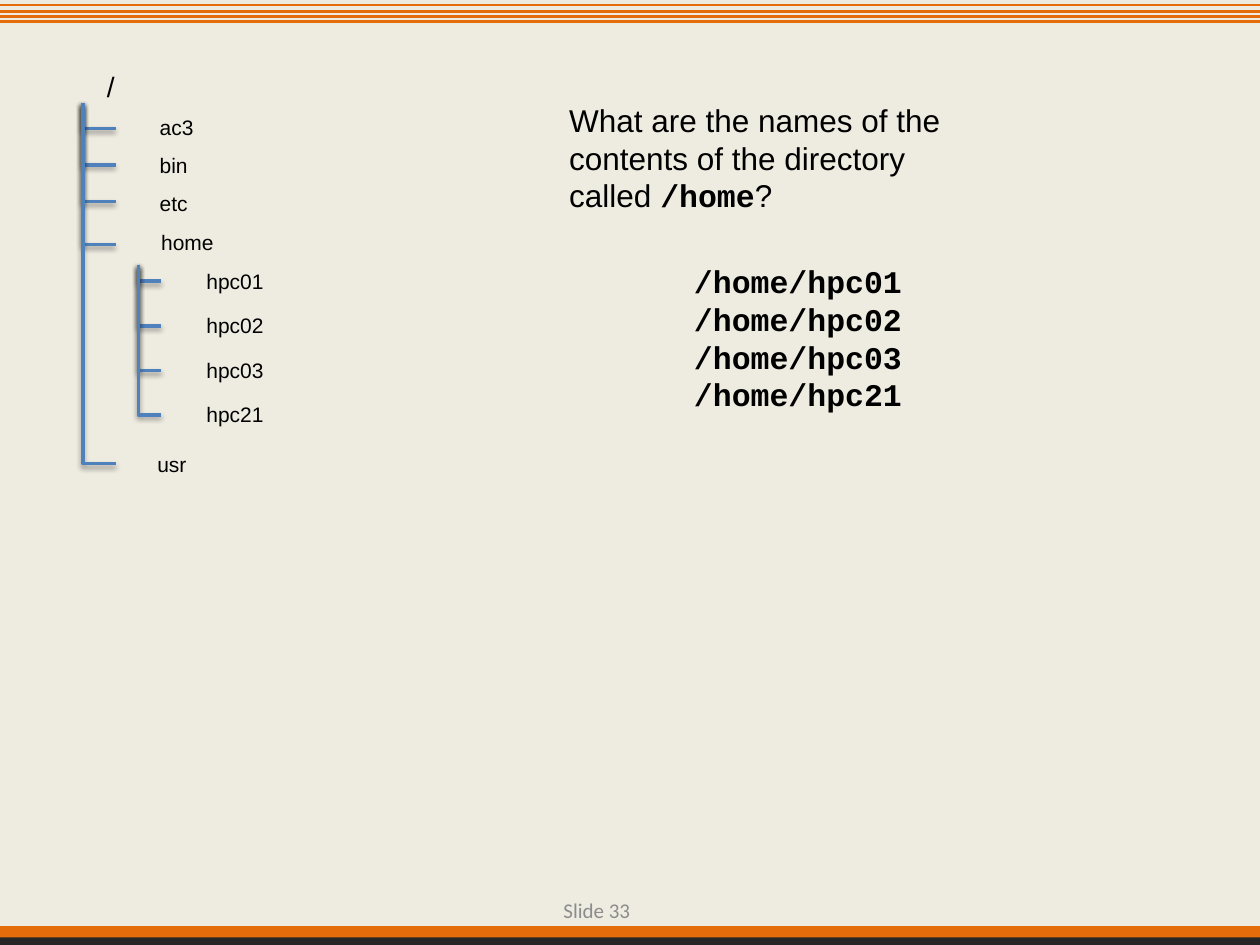
"""Build a slide that shows a directory tree beside a question and its answer."""
from lxml import etree
from pptx import Presentation
from pptx.dml.color import RGBColor
from pptx.enum.shapes import MSO_CONNECTOR as CONN, MSO_SHAPE as SHAPE
from pptx.enum.text import MSO_ANCHOR as ANCHOR, PP_ALIGN as ALIGN
from pptx.oxml.ns import qn
from pptx.util import Pt

CREAM = RGBColor(0xEE, 0xEC, 0xE1)
ORANGE = RGBColor(0xE4, 0x6C, 0x0A)
CHARCOAL = RGBColor(0x26, 0x26, 0x26)
BLUE = RGBColor(0x4F, 0x81, 0xBD)
GREY = RGBColor(0x8C, 0x8C, 0x8C)
BLACK = RGBColor(0, 0, 0)
SANS, MONO, FOOT = "Arial", "Courier New", "Calibri"

WIDTH, HEIGHT = 720, 540
STRIPES = [12.2, 6.5, 2.9, 9.4]
BARS = [(529.2, 11.5, ORANGE), (535.7, 4.3, CHARCOAL)]

USERS = ["hpc01", "hpc02", "hpc03", "hpc21"]
ROOT_DIRS = [
    ("ac3", 84.2, 61.9, 33.8, 73.4),
    ("bin", 84.2, 83.5, 31, 94.3),
    ("etc", 84.2, 105.1, 31, 115.2),
    ("home", 85, 127.4, 44.6, 139.7),
    ("usr", 82.8, 254.2, 46.8, 265),
]
USER_STEP = 25.45
USER_DIRS = [(name, 110.9, 149.8 + i * USER_STEP, 47.5, 160.7 + i * USER_STEP)
             for i, name in enumerate(USERS)]
BRANCHES = [((47.5, 59), 18.7, ROOT_DIRS), ((79.2, 151.2), 13, USER_DIRS)]

QUESTION = [[("What are the names of the contents of the directory called ", SANS, False),
             ("/home", MONO, True), ("?", SANS, False)]]
ANSWER = [[("/home/" + name, MONO, True)] for name in USERS]


def add_text(s, box, paragraphs, size, wrap=False, color=BLACK, align=ALIGN.LEFT,
             anchor=ANCHOR.TOP):
    tf = s.shapes.add_textbox(*map(Pt, box)).text_frame
    tf.word_wrap, tf.vertical_anchor = wrap, anchor
    for i, runs in enumerate(paragraphs):
        p = tf.paragraphs[0] if i == 0 else tf.add_paragraph()
        p.alignment = align
        for text, font, bold in runs:
            r = p.add_run()
            r.text = text
            r.font.name, r.font.size, r.font.bold = font, Pt(size), bold
            r.font.color.rgb = color


def set_shadow(sp, alpha=None, blur=0, dist=0):
    effects = etree.SubElement(sp._element.spPr, qn("a:effectLst"))
    if alpha:
        shadow = etree.SubElement(effects, qn("a:outerShdw"), blurRad=str(Pt(blur)),
                                  dist=str(Pt(dist)), dir="5400000", rotWithShape="0")
        tint = etree.SubElement(shadow, qn("a:srgbClr"), val="000000")
        etree.SubElement(tint, qn("a:alpha"), val=str(alpha * 1000))


def add_line(s, kind, ends, color, width):
    sp = s.shapes.add_connector(kind, *map(Pt, ends))
    sp.line.color.rgb, sp.line.width = color, Pt(width)
    return sp


def add_branch(s, x, y, arm, end_y):
    drop = end_y - y
    mid_x, mid_y = x + arm / 2, y + drop / 2
    ends = (mid_x + drop / 2, mid_y - arm / 2, mid_x - drop / 2, mid_y + arm / 2)
    sp = add_line(s, CONN.ELBOW, ends, BLUE, 2)
    sp._element.spPr.find(qn("a:xfrm")).set("rot", "16200000")
    sp._element.spPr.find(qn("a:prstGeom")).set("prst", "bentConnector2")
    set_shadow(sp, 38, 3.1, 1.6)


def add_bar(s, top, height, color):
    sp = s.shapes.add_shape(SHAPE.RECTANGLE, 0, Pt(top), Pt(WIDTH), Pt(height))
    sp.shadow.inherit = False
    sp.fill.solid()
    sp.fill.fore_color.rgb = color
    sp.line.fill.background()


def main():
    prs = Presentation()
    prs.slide_width, prs.slide_height = Pt(WIDTH), Pt(HEIGHT)
    s = prs.slides.add_slide(prs.slide_layouts[6])
    s.background.fill.solid()
    s.background.fill.fore_color.rgb = CREAM

    for bar in BARS:
        add_bar(s, *bar)
    for y in STRIPES:
        set_shadow(add_line(s, CONN.STRAIGHT, (0, y, WIDTH, y), ORANGE, 1.5))

    add_text(s, (54, 36, 18.7, 26.6), [[("/", SANS, False)]], 16)
    for (x, y), arm, folders in BRANCHES:
        for name, left, top, width, end_y in folders:
            add_branch(s, x, y, arm, end_y)
            add_text(s, (left, top, width, 21.6), [[(name, SANS, False)]], 12)

    add_text(s, (389.5, 146.2, 139, 94.3), ANSWER, 18)
    add_text(s, (318.2, 54, 264.2, 72.7), QUESTION, 18, wrap=True)
    add_text(s, (295.9, 505.6, 71.3, 28.8), [[("Slide 33", FOOT, False)]], 12, wrap=True,
             color=GREY, align=ALIGN.RIGHT, anchor=ANCHOR.MIDDLE)
    prs.save("out.pptx")


if __name__ == "__main__":
    main()
